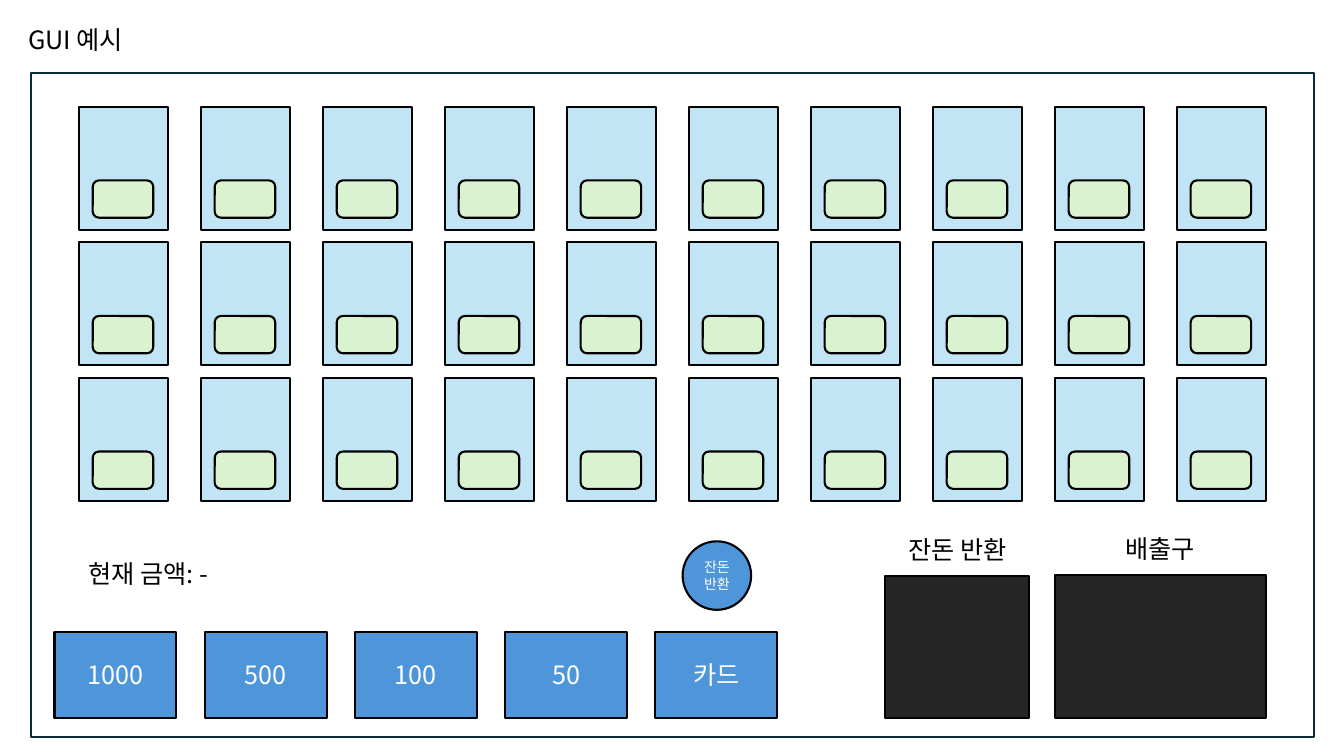
from lxml.etree import SubElement
from pptx import Presentation
from pptx.dml.color import RGBColor
from pptx.enum.shapes import MSO_SHAPE as SHAPE
from pptx.enum.text import MSO_ANCHOR as ANCHOR, PP_ALIGN as ALIGN
from pptx.oxml.ns import qn
from pptx.util import Inches, Pt

FONT = "Noto Sans CJK KR"
BLACK = RGBColor(0x00, 0x00, 0x00)
WHITE = RGBColor(0xFF, 0xFF, 0xFF)
FRAME = RGBColor(0x09, 0x2A, 0x39)
CARD = RGBColor(0xC1, 0xE5, 0xF5)
LABEL = RGBColor(0xD9, 0xF2, 0xD0)
BUTTON = RGBColor(0x4E, 0x95, 0xD9)
TRAY = RGBColor(0x26, 0x26, 0x26)


def write(tf, text, color=BLACK, size=18, align=ALIGN.LEFT):
    """Put one formatted run in the first paragraph of a text frame."""
    p = tf.paragraphs[0]
    p.alignment = align
    r = p.add_run()
    r.text = text
    r.font.size = Pt(size)
    r.font.color.rgb = color
    r.font.name = FONT
    SubElement(r.font._element, qn("a:ea"), typeface=FONT)


def add_box(s, kind, x, y, w, h, fill, line=BLACK):
    """Add a flat filled shape with an outline."""
    sp = s.shapes.add_shape(kind, Inches(x), Inches(y), Inches(w), Inches(h))
    sp.shadow.inherit = False
    sp.fill.solid()
    sp.fill.fore_color.rgb = fill
    sp.line.color.rgb = line
    sp.line.width = Pt(1.5)
    return sp


def add_label(s, x, y, w, text, align=ALIGN.LEFT):
    """Add a wrapped line of black text."""
    tb = s.shapes.add_textbox(Inches(x), Inches(y), Inches(w), Inches(0.4))
    tb.text_frame.word_wrap = True
    write(tb.text_frame, text, align=align)


def add_button(s, kind, x, y, w, h, text, size=18):
    """Add a blue button with centred white text."""
    sp = add_box(s, kind, x, y, w, h, BUTTON)
    write(sp.text_frame, text, WHITE, size, ALIGN.CENTER)


def add_title(s, x, y, w, h):
    """Move the title placeholder to its box and fill it."""
    sp = s.shapes.title
    sp.left, sp.top, sp.width, sp.height = map(Inches, (x, y, w, h))
    tf = sp.text_frame
    tf.word_wrap = False
    tf.vertical_anchor = ANCHOR.TOP
    tf.paragraphs[0].line_spacing = 1.0
    write(tf, "GUI 예시")


def add_shelves(s, x, y, w, h, rows=3, cols=10):
    """Spread product cards with their labels evenly over a box."""
    card_w, card_h = 0.89, 1.22
    dx = (w - card_w) / (cols - 1)
    dy = (h - card_h) / (rows - 1)
    for row in range(rows):
        for col in range(cols):
            left, top = x + col * dx, y + row * dy
            add_box(s, SHAPE.RECTANGLE, left, top, card_w, card_h, CARD)
            add_box(s, SHAPE.ROUNDED_RECTANGLE, left + 0.14, top + 0.73, 0.6, 0.37, LABEL)


def add_payment(s, x, y, w, h):
    """Place the amount, the change button and a row of money buttons."""
    add_label(s, x + 0.24, y + 0.12, 2.2, "현재 금액: -")
    add_button(s, SHAPE.OVAL, x + 6.23, y, 0.68, 0.68, "잔돈반환", 10)
    names = ["1000", "500", "100", "50", "카드"]
    key_w, key_h = 1.21, 0.85
    dx = (w - key_w) / (len(names) - 1)
    for i, name in enumerate(names):
        add_button(s, SHAPE.RECTANGLE, x + i * dx, y + h - key_h, key_w, key_h, name)


def add_tray(s, x, y, w, h, name, label_x):
    """Add a dark tray with its name above it."""
    add_box(s, SHAPE.RECTANGLE, x, y, w, h, TRAY)
    add_label(s, x + label_x, y - 0.46, 1.35, name, ALIGN.CENTER)


def add_machine(s, x, y, w, h):
    """Draw the vending machine frame and its regions."""
    add_box(s, SHAPE.RECTANGLE, x, y, w, h, WHITE, FRAME)
    add_shelves(s, x + 0.47, y + 0.34, 11.78, 3.91)
    add_payment(s, x + 0.23, y + 4.65, 7.17, 1.75)
    add_tray(s, x + 8.47, y + 4.99, 1.43, 1.41, "잔돈 반환", 0.04)
    add_tray(s, x + 10.15, y + 4.98, 2.1, 1.42, "배출구", 0.37)


def main():
    """Build and save the slide."""
    prs = Presentation()
    prs.slide_width, prs.slide_height = Inches(13.33), Inches(7.5)
    s = prs.slides.add_slide(prs.slide_layouts[5])
    add_title(s, 0.18, 0.19, 1.22, 0.4)
    add_machine(s, 0.31, 0.72, 12.72, 6.59)
    prs.save("out.pptx")


if __name__ == "__main__":
    main()
